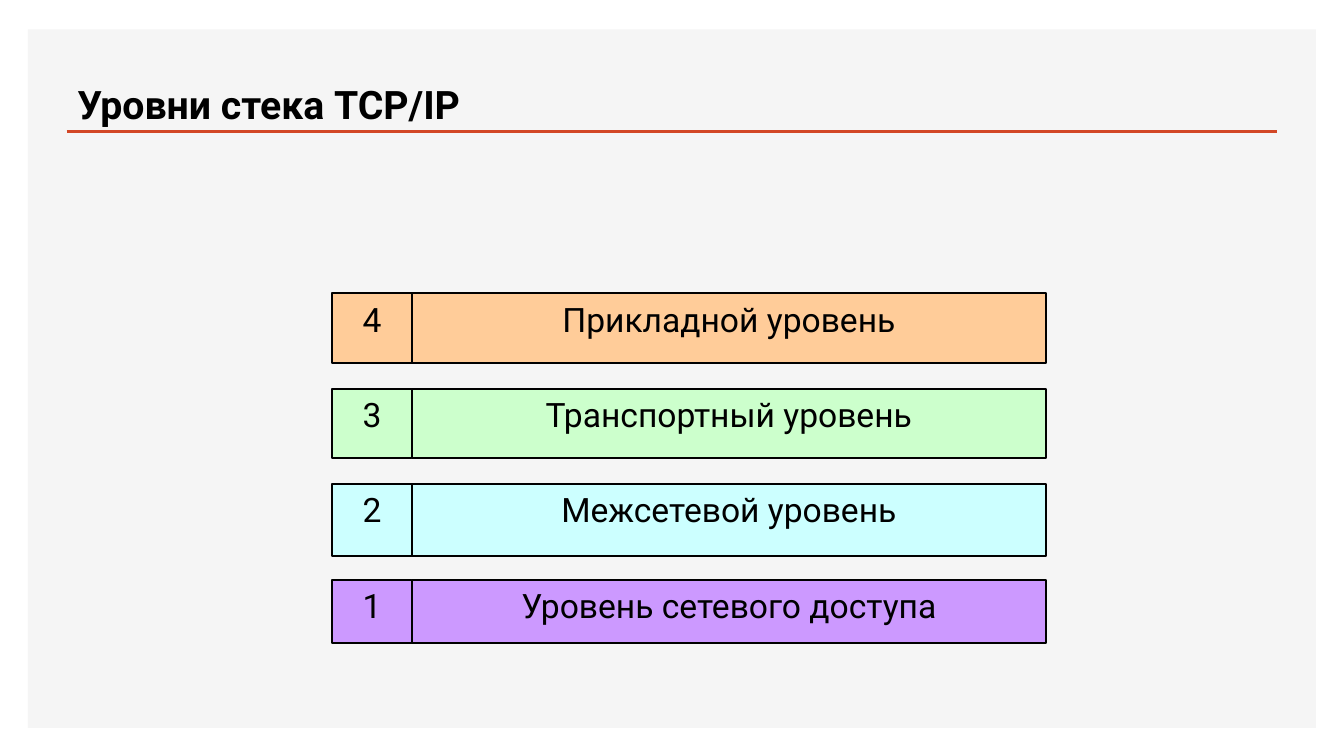
from dataclasses import dataclass

from pptx import Presentation
from pptx.dml.color import RGBColor
from pptx.enum.shapes import MSO_CONNECTOR as Connector, MSO_SHAPE as Shape
from pptx.enum.text import MSO_ANCHOR as Anchor, MSO_AUTO_SIZE as AutoSize, PP_ALIGN as Align
from pptx.oxml.ns import qn
from pptx.util import Pt
from lxml.etree import SubElement


@dataclass(frozen=True)
class Theme:
    font: str = "Roboto"
    ink: str = "000000"
    panel: str = "F5F5F5"
    accent: str = "D24726"
    title_size: int = 28
    level_size: int = 24


theme = Theme()


def write(shape, text, *, size, bold=False, align=Align.LEFT, anchor=Anchor.TOP):
    frame = shape.text_frame
    frame.word_wrap = True
    frame.auto_size = AutoSize.NONE
    frame.vertical_anchor = anchor
    para = frame.paragraphs[0]
    para.alignment = align
    span = para.add_run()
    span.text = text
    span.font.name = theme.font
    span.font.size = Pt(size)
    span.font.bold = bold
    span.font.color.rgb = RGBColor.from_string(theme.ink)


def add_box(page, left, top, width, height, fill):
    box = page.shapes.add_shape(Shape.RECTANGLE, Pt(left), Pt(top), Pt(width), Pt(height))
    box.shadow.inherit = False
    box.fill.solid()
    box.fill.fore_color.rgb = RGBColor.from_string(fill)
    box.line.fill.background()
    return box


deck = Presentation()
deck.slide_width, deck.slide_height = Pt(960), Pt(540)
page = deck.slides.add_slide(deck.slide_layouts[5])

# Background panel and title rule, both behind the title
title = page.shapes.title
panel = add_box(page, 20, 21, 920, 499, theme.panel)
rule = page.shapes.add_connector(Connector.STRAIGHT, Pt(47.7), Pt(94), Pt(912), Pt(94))
rule.line.color.rgb = RGBColor.from_string(theme.accent)
rule.line.width = Pt(2)
SubElement(rule.element.spPr, qn("a:effectLst"))
for backdrop in (panel, rule):
    title.element.addprevious(backdrop.element)

title.left, title.top, title.width, title.height = Pt(48), Pt(12.4), Pt(864), Pt(82)
write(title, "Уровни стека TCP/IP", size=theme.title_size, bold=True, anchor=Anchor.BOTTOM)

# Protocol levels, from the top of the stack down
levels = [
    ("Прикладной уровень", "FFCC99", 49.7),
    ("Транспортный уровень", "CCFFCC", 49.7),
    ("Межсетевой уровень", "CCFFFF", 51.3),
    ("Уровень сетевого доступа", "CC99FF", 45.3),
]
stack_top, pitch = 209.6, 68.15
columns = [(237.4, 56.8), (294, 453.3)]

for row, (name, fill, height) in enumerate(levels):
    number = str(len(levels) - row)
    for (left, width), text in zip(columns, (number, name)):
        cell = add_box(page, left, stack_top + row * pitch, width, height, fill)
        cell.line.color.rgb = RGBColor.from_string(theme.ink)
        cell.line.width = Pt(1.5)
        write(cell, text, size=theme.level_size, align=Align.CENTER)

deck.save("out.pptx")
